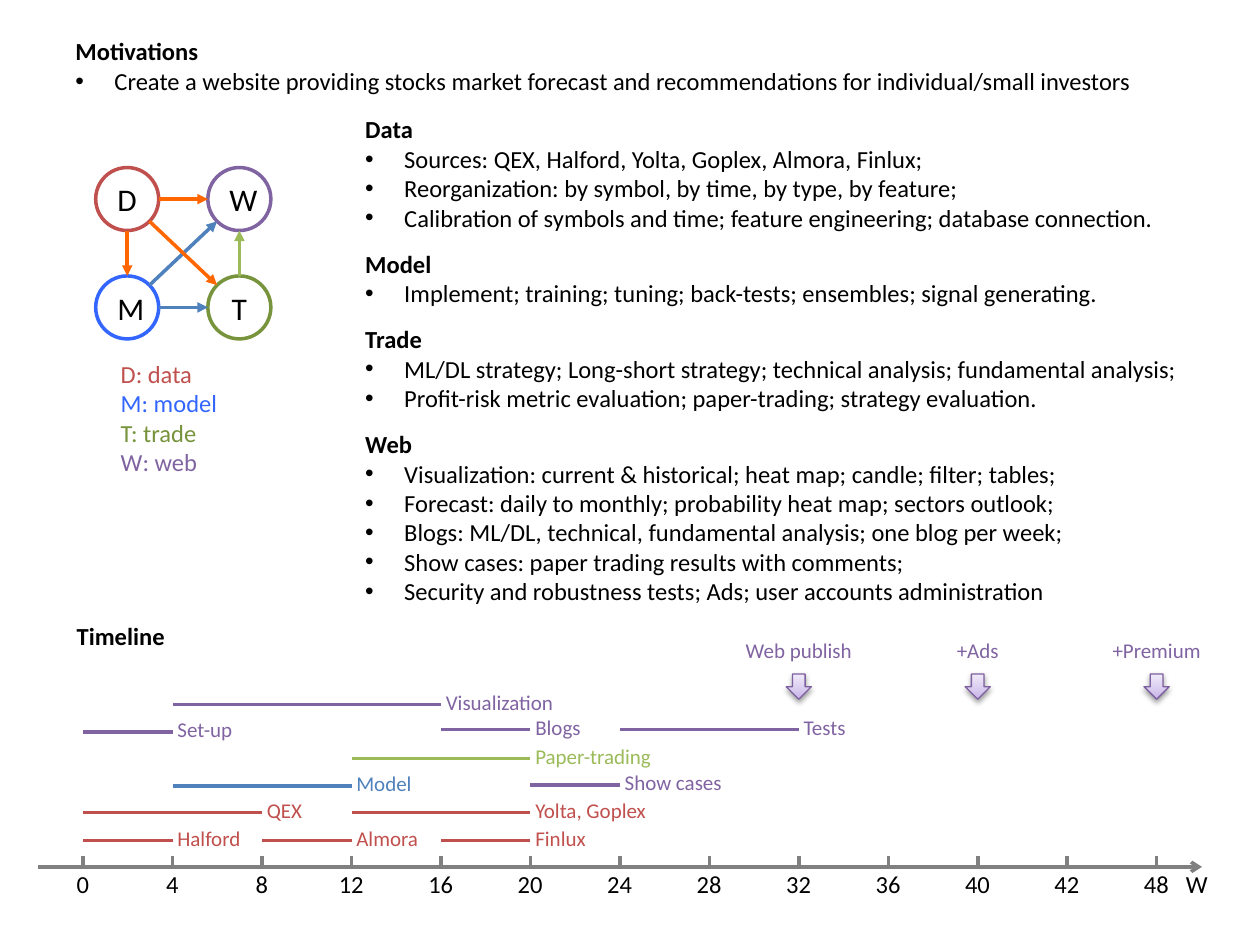
from dataclasses import dataclass
from math import hypot

from lxml.etree import SubElement
from pptx import Presentation
from pptx.dml.color import RGBColor
from pptx.enum.shapes import MSO_CONNECTOR, MSO_SHAPE
from pptx.enum.text import MSO_ANCHOR, MSO_AUTO_SIZE, PP_ALIGN
from pptx.oxml.ns import qn
from pptx.util import Inches, Pt


@dataclass(frozen=True)
class Theme:
    """Fonts, type sizes and colours of the slide."""
    font: str = "Calibri"
    label_size: int = 12
    body_size: int = 14
    node_size: int = 18
    black: str = "000000"
    white: str = "FFFFFF"
    red: str = "C0504D"
    blue: str = "4F81BD"
    bright_blue: str = "3366FF"
    green: str = "9BBB59"
    dark_green: str = "77933C"
    purple: str = "8064A2"
    orange: str = "FF6600"
    grey: str = "808080"
    marker_line: str = "7D60A0"
    marker_dark: str = "C9B5E8"
    marker_light: str = "F0EAF9"


THEME = Theme()
RADIUS = 0.25
AXIS_LEFT, AXIS_STEP, AXIS_TOP = 0.66, 0.71, 6.88
WEEKS = [0, 4, 8, 12, 16, 20, 24, 28, 32, 36, 40, 42, 48]

MOTIVATIONS = [("Motivations", [
    "Create a website providing stocks market forecast and recommendations for individual/small investors",
])]
SECTIONS = [
    ("Data", [
        "Sources: QEX, Halford, Yolta, Goplex, Almora, Finlux;",
        "Reorganization: by symbol, by time, by type, by feature;",
        "Calibration of symbols and time; feature engineering; database connection.",
    ]),
    ("Model", ["Implement; training; tuning; back-tests; ensembles; signal generating."]),
    ("Trade", [
        "ML/DL strategy; Long-short strategy; technical analysis; fundamental analysis;",
        "Profit-risk metric evaluation; paper-trading; strategy evaluation.",
    ]),
    ("Web", [
        "Visualization: current & historical; heat map; candle; filter; tables;",
        "Forecast: daily to monthly; probability heat map; sectors outlook;",
        "Blogs: ML/DL, technical, fundamental analysis; one blog per week;",
        "Show cases: paper trading results with comments;",
        "Security and robustness tests; Ads; user accounts administration",
    ]),
]
NODES = {
    "D": (1.01, 1.58, THEME.red),
    "M": (1.01, 2.44, THEME.bright_blue),
    "T": (1.9, 2.44, THEME.dark_green),
    "W": (1.9, 1.58, THEME.purple),
}
LINKS = [
    ("D", "W", THEME.orange), ("D", "M", THEME.orange), ("M", "T", THEME.blue),
    ("M", "W", THEME.blue), ("T", "W", THEME.green), ("D", "T", THEME.orange),
]
LEGEND = {"D": "data", "M": "model", "T": "trade", "W": "web"}
TASKS = [
    ("Visualization", 1, 4, 5.59, THEME.purple),
    ("Blogs", 4, 5, 5.79, THEME.purple),
    ("Tests", 6, 8, 5.79, THEME.purple),
    ("Set-up", 0, 1, 5.81, THEME.purple),
    ("Paper-trading", 3, 5, 6.02, THEME.green),
    ("Model", 1, 3, 6.24, THEME.blue),
    ("Show cases", 5, 6, 6.23, THEME.purple),
    ("QEX", 0, 2, 6.45, THEME.red),
    ("Yolta, Goplex", 3, 5, 6.45, THEME.red),
    ("Halford", 0, 1, 6.67, THEME.red),
    ("Almora", 2, 3, 6.67, THEME.red),
    ("Finlux", 4, 5, 6.67, THEME.red),
]
MILESTONES = [("Web publish", 8), ("+Ads", 10), ("+Premium", 12)]


class SlideBuilder:
    """Draws styled elements on the current slide."""

    def __init__(self, slide, theme):
        self.slide = slide
        self.theme = theme

    def style(self, paragraph, size, color, bold=False):
        """Set the font of a paragraph."""
        font = paragraph.font
        font.name, font.size, font.bold = self.theme.font, Pt(size), bold
        font.color.rgb = RGBColor.from_string(color)

    def text(self, left, top, width, height, lines, size, bold=False, wrap=False, align=PP_ALIGN.LEFT):
        """Add a text box with one paragraph for each (text, colour) line."""
        shape = self.slide.shapes.add_textbox(Inches(left), Inches(top), Inches(width), Inches(height))
        frame = shape.text_frame
        frame.word_wrap = wrap
        frame.auto_size = MSO_AUTO_SIZE.SHAPE_TO_FIT_TEXT
        frame.text = "\n".join(line for line, _ in lines)
        for paragraph, (_, color) in zip(frame.paragraphs, lines):
            paragraph.alignment = align
            self.style(paragraph, size, color, bold)
        return shape

    def outline(self, left, top, width, height, sections):
        """Add a text box of bold headings with bulleted lines."""
        entries = [(line, line is heading) for heading, items in sections for line in [heading, *items]]
        lines = [(line, self.theme.black) for line, _ in entries]
        shape = self.text(left, top, width, height, lines, self.theme.body_size, wrap=True)
        for index, (paragraph, (_, is_heading)) in enumerate(zip(shape.text_frame.paragraphs, entries)):
            if is_heading:
                paragraph.font.bold = True
                paragraph.space_before = Pt(9.5 if index else 0)
            else:
                properties = paragraph._p.get_or_add_pPr()
                properties.set("marL", str(Inches(0.31)))
                properties.set("indent", str(Inches(-0.31)))
                bullet_font = SubElement(properties, qn("a:buFont"))
                bullet_font.set("typeface", "Arial")
                SubElement(properties, qn("a:buChar")).set("char", "•")
                properties.append(properties.find(qn("a:defRPr")))

    def tabbed_text(self, left, top, width, height, words, centers):
        """Add one line of words, each after the first centred on a tab stop."""
        lines = [("\t".join(words), self.theme.black)]
        shape = self.text(left, top, width, height, lines, self.theme.body_size, wrap=True)
        properties = shape.text_frame.paragraphs[0]._p.get_or_add_pPr()
        tabs = SubElement(properties, qn("a:tabLst"))
        for center in centers[1:]:
            tab = SubElement(tabs, qn("a:tab"))
            tab.set("pos", str(Inches(center - left - 0.1)))
            tab.set("algn", "ctr")
        properties.append(properties.find(qn("a:defRPr")))

    def line(self, start, end, color, arrowhead=None):
        """Add a straight line, with an arrowhead if one is named."""
        points = [Inches(value) for value in (*start, *end)]
        connector = self.slide.shapes.add_connector(MSO_CONNECTOR.STRAIGHT, *points)
        connector.line.color.rgb = RGBColor.from_string(color)
        connector.line.width = Pt(2)
        if arrowhead:
            SubElement(connector.line._get_or_add_ln(), qn("a:tailEnd")).set("type", arrowhead)
        SubElement(connector._element.spPr, qn("a:effectLst"))

    def node(self, letter, x, y, color):
        """Add a lettered circle centred on a point."""
        box = [Inches(value) for value in (x - RADIUS, y - RADIUS, 2 * RADIUS, 2 * RADIUS)]
        shape = self.slide.shapes.add_shape(MSO_SHAPE.OVAL, *box)
        shape.shadow.inherit = False
        shape.fill.solid()
        shape.fill.fore_color.rgb = RGBColor.from_string(self.theme.white)
        shape.line.color.rgb = RGBColor.from_string(color)
        shape.line.width = Pt(2)
        frame = shape.text_frame
        frame.text = letter
        frame.vertical_anchor = MSO_ANCHOR.MIDDLE
        frame.paragraphs[0].alignment = PP_ALIGN.CENTER
        self.style(frame.paragraphs[0], self.theme.node_size, self.theme.black)

    def link(self, source, target, color):
        """Add an arrow between the edges of two circles."""
        (x1, y1, _), (x2, y2, _) = source, target
        across, down = (x2 > x1) - (x2 < x1), (y2 > y1) - (y2 < y1)
        reach = RADIUS / hypot(across, down)
        start = (x1 + across * reach, y1 + down * reach)
        end = (x2 - across * reach, y2 - down * reach)
        self.line(start, end, color, "triangle")

    def milestone(self, label, x):
        """Add a labelled down arrow centred on a week."""
        box = [Inches(value) for value in (x - 0.1, 5.35, 0.2, 0.2)]
        shape = self.slide.shapes.add_shape(MSO_SHAPE.DOWN_ARROW, *box)
        shape.fill.gradient()
        shape.fill.gradient_angle = 90
        for stop, color in zip(shape.fill.gradient_stops, (self.theme.marker_dark, self.theme.marker_light)):
            stop.color.rgb = RGBColor.from_string(color)
        shape.line.color.rgb = RGBColor.from_string(self.theme.marker_line)
        shape.line.width = Pt(0.75)
        effects = SubElement(shape._element.spPr, qn("a:effectLst"))
        shadow = SubElement(effects, qn("a:outerShdw"), blurRad=str(Pt(3.1)), dist=str(Pt(1.6)), dir="5400000")
        shadow_color = SubElement(shadow, qn("a:srgbClr"), val=self.theme.black)
        SubElement(shadow_color, qn("a:alpha"), val="38000")
        self.text(x - 0.53, 5.01, 1.06, 0.3, [(label, self.theme.purple)],
                  self.theme.label_size, align=PP_ALIGN.CENTER)

    def task(self, label, start, end, y, color):
        """Add a timeline bar with its label to the right."""
        self.line((start, y), (end, y), color)
        width = 0.3 + 0.08 * len(label)
        self.text(end - 0.06, y - 0.17, width, 0.3, [(label, color)], self.theme.label_size)


def main():
    """Build the project plan slide."""
    presentation = Presentation()
    presentation.slide_width, presentation.slide_height = Inches(10), Inches(7.5)
    builder = SlideBuilder(presentation.slides.add_slide(presentation.slide_layouts[6]), THEME)
    builder.outline(0.5, 0.24, 9.31, 0.57, MOTIVATIONS)
    builder.outline(2.8, 0.86, 7.05, 4.04, SECTIONS)
    for letter, node in NODES.items():
        builder.node(letter, *node)
    for source, target, color in LINKS:
        builder.link(NODES[source], NODES[target], color)
    legend = [(f"{letter}: {name}", NODES[letter][2]) for letter, name in LEGEND.items()]
    builder.text(0.86, 2.8, 0.97, 1.04, legend, THEME.body_size)
    builder.text(0.51, 4.88, 0.91, 0.34, [("Timeline", THEME.black)], THEME.body_size, bold=True)
    ticks = [AXIS_LEFT + index * AXIS_STEP for index in range(len(WEEKS))]
    builder.line((0.3, AXIS_TOP), (9.54, AXIS_TOP), THEME.grey, "arrow")
    for x in ticks:
        builder.line((x, AXIS_TOP - 0.09), (x, AXIS_TOP), THEME.grey)
    builder.tabbed_text(0.51, 6.85, 9.46, 0.34, [*map(str, WEEKS), "W"], [*ticks, 9.5])
    for label, first, last, y, color in TASKS:
        builder.task(label, ticks[first], ticks[last], y, color)
    for label, index in MILESTONES:
        builder.milestone(label, ticks[index])
    presentation.save("out.pptx")


if __name__ == "__main__":
    main()
